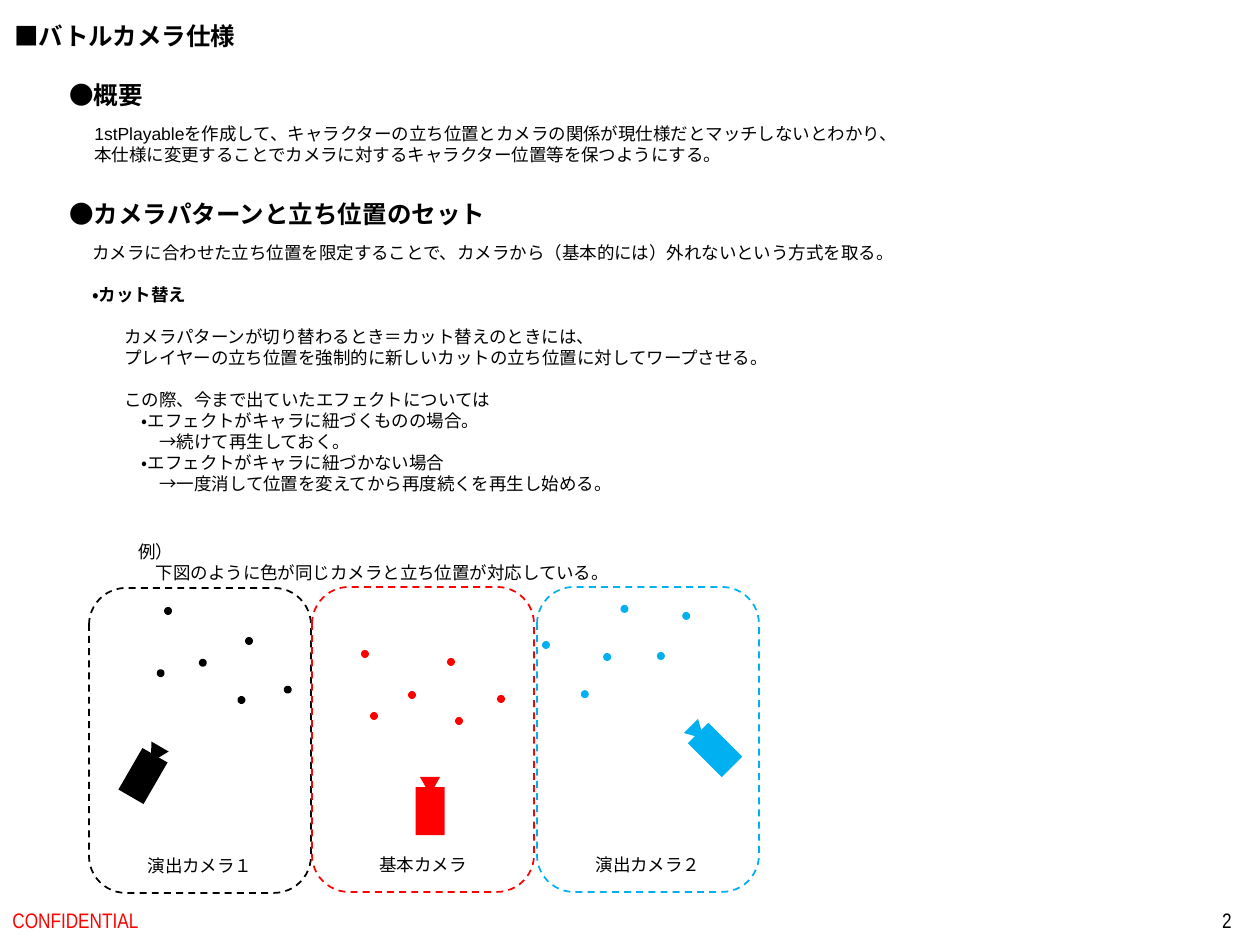
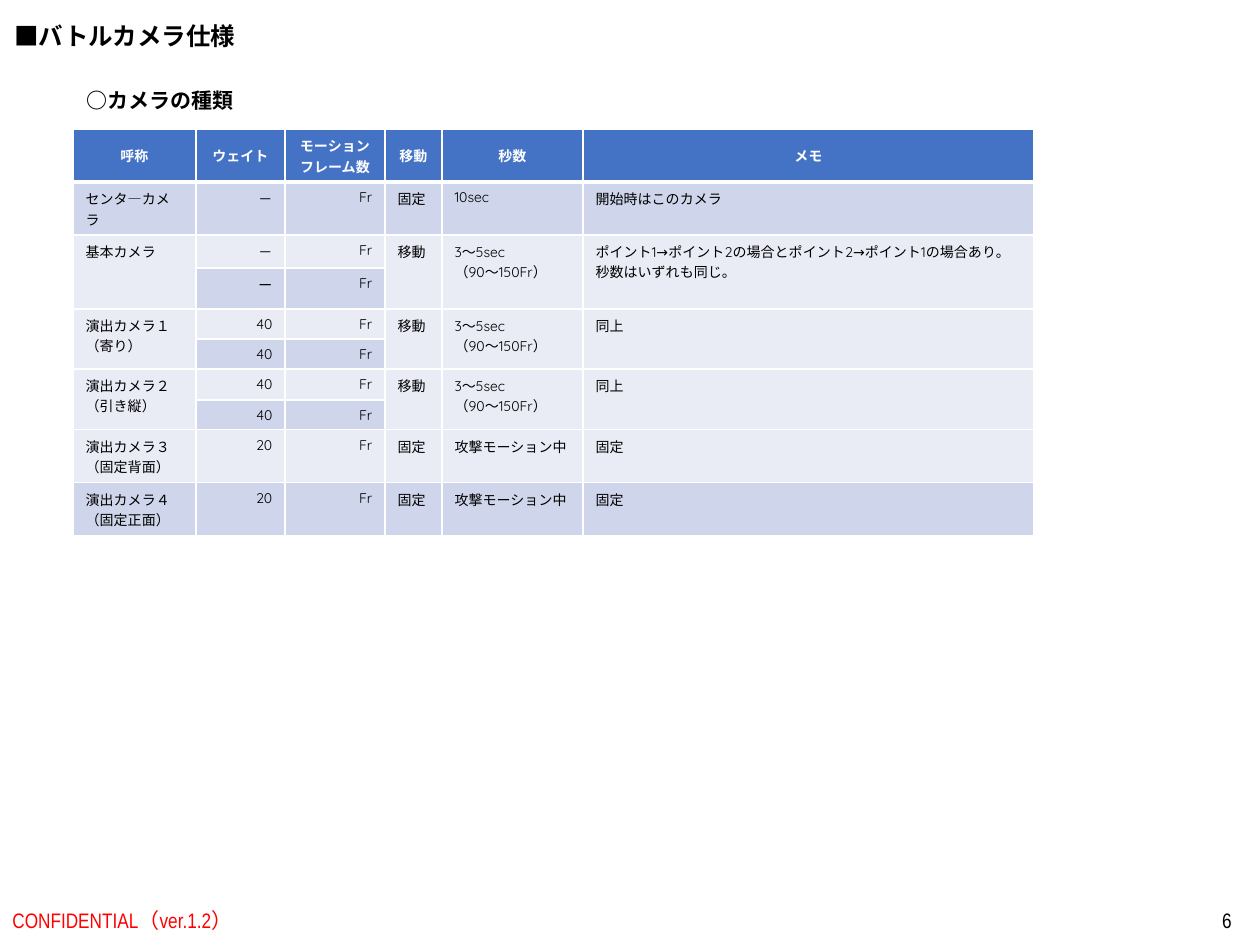
from math import cos, radians, sin
from typing import NamedTuple

from lxml.etree import SubElement
from pptx import Presentation
from pptx.dml.color import RGBColor
from pptx.enum.dml import MSO_LINE
from pptx.enum.lang import MSO_LANGUAGE_ID as LANG
from pptx.enum.shapes import MSO_SHAPE as SHAPE
from pptx.enum.text import MSO_ANCHOR as ANCHOR, MSO_AUTO_SIZE as AUTO, PP_ALIGN as ALIGN
from pptx.oxml.ns import qn
from pptx.util import Emu, Pt

# Shared look
BLACK = RGBColor(0x00, 0x00, 0x00)
WHITE = RGBColor(0xFF, 0xFF, 0xFF)
RED = RGBColor(0xFF, 0x00, 0x00)
SKY = RGBColor(0x00, 0xB0, 0xF0)
HEADER_BLUE = RGBColor(0x44, 0x72, 0xC4)
BAND_DARK = RGBColor(0xCF, 0xD5, 0xEA)
BAND_LIGHT = RGBColor(0xE9, 0xEB, 0xF5)
BODY, HEAD, FOOT = "Arial", "Quicksand", "Arial Narrow"

# Camera diagram: (label, colour, frame corner, first standing point,
# formation turn, camera centre, camera turn)
FRAME_W, FRAME_H = 222, 305
FORMATION = [(0, 0), (47, 41), (86, 8), (9, 62), (94, 67), (136, 45)]
CAMERAS = [
    ("演出カメラ１", BLACK, (89, 588), (168, 611), 15, (143, 776), 30),
    ("基本カメラ", RED, (312, 587), (365, 654), 0, (430, 811), 0),
    ("演出カメラ２", SKY, (537, 587), (546, 645), -30, (715, 750), -45),
]

# Camera table; None continues the cell above
COL_WIDTHS = [123, 89, 100, 57, 141, 451]
ROW_HEIGHTS = [53, 53, 33, 41, 30, 30, 31, 30, 53, 53]
SECONDS = "3～5sec\n（90～150Fr）"
ROWS = [
    ["呼称", "ウェイト", "モーション\nフレーム数", "移動", "秒数", "メモ"],
    ["センタ―カメラ", "－", "Fr", "固定", "10sec", "開始時はこのカメラ"],
    ["基本カメラ", "－", "Fr", "移動", SECONDS,
     "ポイント1→ポイント2の場合とポイント2→ポイント1の場合あり。\n秒数はいずれも同じ。"],
    [None, "ー", "Fr", None, None, None],
    ["演出カメラ１\n（寄り）", "40", "Fr", "移動", SECONDS, "同上"],
    [None, "40", "Fr", None, None, None],
    ["演出カメラ２\n（引き縦）", "40", "Fr", "移動", SECONDS, "同上"],
    [None, "40", "Fr", None, None, None],
    ["演出カメラ３\n（固定背面）", "20", "Fr", "固定", "攻撃モーション中", "固定"],
    ["演出カメラ４\n（固定正面）", "20", "Fr", "固定", "攻撃モーション中", "固定"],
]


class Line(NamedTuple):
    text: str
    level: int = 0
    gap: int = 0


def px(n):
    return Emu(round(n * 914400 / 126))


def turn(x, y, degrees):
    a = radians(degrees)
    return x * cos(a) - y * sin(a), x * sin(a) + y * cos(a)


# Text
def write(tf, lines, size, font, color=BLACK, bold=False, align=ALIGN.LEFT):
    for i, line in enumerate(lines):
        p = tf.paragraphs[0] if i == 0 else tf.add_paragraph()
        p.alignment = align
        if line.level:
            p._p.get_or_add_pPr().set("marL", str(Pt(size * line.level)))
        if line.gap:
            p.space_before = Pt(line.gap)
        r = p.add_run()
        r.text = line.text
        r.font.size, r.font.name, r.font.bold = Pt(size), font, bold
        r.font.color.rgb = color
        r.font.language_id = LANG.JAPANESE


def add_label(s, box, lines, size=10, font=BODY, bold=False):
    tf = s.shapes.add_textbox(*map(px, box)).text_frame
    tf.word_wrap = False
    tf.auto_size = AUTO.SHAPE_TO_FIT_TEXT
    write(tf, lines, size, font, bold=bold)


def add_footer(s, box, text, color, align):
    tf = s.shapes.add_textbox(*map(px, box)).text_frame
    tf.word_wrap = True
    tf.vertical_anchor = ANCHOR.MIDDLE
    write(tf, [Line(text)], 12, FOOT, color, align=align)


def new_slide(prs, notice, number):
    s = prs.slides.add_slide(prs.slide_layouts[6])
    add_label(s, (2, 15, 248, 43), [Line("■バトルカメラ仕様")], 14, bold=True)
    add_footer(s, (0, 895, 426, 50), notice, RED, ALIGN.LEFT)
    add_footer(s, (960, 895, 284, 50), number, BLACK, ALIGN.RIGHT)
    return s


# Diagram parts
def add_solid(shapes, kind, center, size, color, rotation):
    (x, y), (w, h) = center, size
    sp = shapes.add_shape(kind, px(x - w / 2), px(y - h / 2), px(w), px(h))
    sp.shadow.inherit = False
    sp.fill.solid()
    sp.fill.fore_color.rgb = color
    sp.line.fill.background()
    sp.rotation = rotation % 360


def add_formation(s, start, degrees, color):
    group = s.shapes.add_group_shape()
    for point in FORMATION:
        dx, dy = turn(*point, degrees)
        center = start[0] + dx, start[1] + dy
        add_solid(group.shapes, SHAPE.OVAL, center, (8, 8), color, degrees)


def add_camera(s, center, degrees, color):
    group = s.shapes.add_group_shape()
    dx, dy = turn(0, -25, degrees)
    lens = center[0] + dx, center[1] + dy
    add_solid(group.shapes, SHAPE.ISOSCELES_TRIANGLE, lens, (20, 18), color, degrees + 180)
    add_solid(group.shapes, SHAPE.RECTANGLE, center, (29, 48), color, degrees + 180)


def add_frame(s, corner, label, color):
    sp = s.shapes.add_shape(SHAPE.ROUNDED_RECTANGLE, *map(px, (*corner, FRAME_W, FRAME_H)))
    sp.shadow.inherit = False
    sp.fill.background()
    sp.line.color.rgb = color
    sp.line.width = Pt(1)
    sp.line.dash_style = MSO_LINE.DASH
    sp.text_frame.vertical_anchor = ANCHOR.BOTTOM
    write(sp.text_frame, [Line(label)], 10, HEAD, align=ALIGN.CENTER)


# Table
def set_borders(cell, top, bottom):
    tcPr = cell._tc.get_or_add_tcPr()
    for side, width in (("L", 1), ("R", 1), ("T", top), ("B", bottom)):
        ln = SubElement(tcPr, qn("a:ln" + side), w=str(Pt(width)))
        SubElement(SubElement(ln, qn("a:solidFill")), qn("a:srgbClr"), val=str(WHITE))


def style_cell(cell, row, col, text):
    header = row == 0
    set_borders(cell, 3 if row == 1 else 1, 3 if header else 1)
    cell.fill.solid()
    cell.fill.fore_color.rgb = HEADER_BLUE if header else (BAND_LIGHT, BAND_DARK)[row % 2]
    if text is None:
        return
    if header:
        cell.vertical_anchor = ANCHOR.MIDDLE
        align = ALIGN.CENTER
    else:
        align = ALIGN.RIGHT if col in (1, 2) else ALIGN.LEFT
    lines = [Line(t) for t in text.split("\n")]
    write(cell.text_frame, lines, 8, HEAD, WHITE if header else BLACK, header, align)


def add_camera_table(s, left, top):
    box = left, top, sum(COL_WIDTHS), sum(ROW_HEIGHTS)
    table = s.shapes.add_table(len(ROWS), len(COL_WIDTHS), *map(px, box)).table
    table.horz_banding = False
    for column, width in zip(table.columns, COL_WIDTHS):
        column.width = px(width)
    for i, (texts, height) in enumerate(zip(ROWS, ROW_HEIGHTS)):
        table.rows[i].height = px(height)
        for j, text in enumerate(texts):
            style_cell(table.cell(i, j), i, j, text)
            if text is None:
                table.cell(i - 1, j).merge(table.cell(i, j))


# Slides
def build_overview(prs):
    s = new_slide(prs, "CONFIDENTIAL", "2")
    add_label(s, (57, 74, 100, 43), [Line("●概要")], 14, HEAD, True)
    add_label(s, (82, 117, 847, 55), [
        Line("1stPlayableを作成して、キャラクターの立ち位置とカメラの関係が現仕様だとマッチしないとわかり、"),
        Line("本仕様に変更することでカメラに対するキャラクター位置等を保つようにする。"),
    ])
    add_label(s, (57, 193, 446, 43), [Line("●カメラパターンと立ち位置のセット")], 14, HEAD, True)
    add_label(s, (80, 236, 838, 34), [
        Line("カメラに合わせた立ち位置を限定することで、カメラから（基本的には）外れないという方式を取る。"),
    ])
    add_label(s, (80, 278, 131, 34), [Line("・カット替え")], bold=True)
    add_label(s, (112, 320, 679, 183), [
        Line("カメラパターンが切り替わるとき＝カット替えのときには、"),
        Line("プレイヤーの立ち位置を強制的に新しいカットの立ち位置に対してワープさせる。"),
        Line("この際、今まで出ていたエフェクトについては", gap=12),
        Line("・エフェクトがキャラに紐づくものの場合。", 1),
        Line("→続けて再生しておく。", 2),
        Line("・エフェクトがキャラに紐づかない場合", 1),
        Line("→一度消して位置を変えてから再度続くを再生し始める。", 2),
    ])
    add_label(s, (126, 535, 503, 55), [
        Line("例）"),
        Line("下図のように色が同じカメラと立ち位置が対応している。", 1),
    ])
    for label, color, corner, start, spread, center, aim in CAMERAS:
        add_formation(s, start, spread, color)
        add_camera(s, center, aim, color)
        add_frame(s, corner, label, color)


def build_camera_types(prs):
    s = new_slide(prs, "CONFIDENTIAL（ver.1.2）", "6")
    add_camera_table(s, 73, 129)
    add_label(s, (74, 81, 174, 38), [Line("○カメラの種類")], 12, HEAD, True)


def main():
    prs = Presentation()
    prs.slide_width, prs.slide_height = px(1260), px(945)
    build_overview(prs)
    build_camera_types(prs)
    prs.save("out.pptx")


if __name__ == "__main__":
    main()
